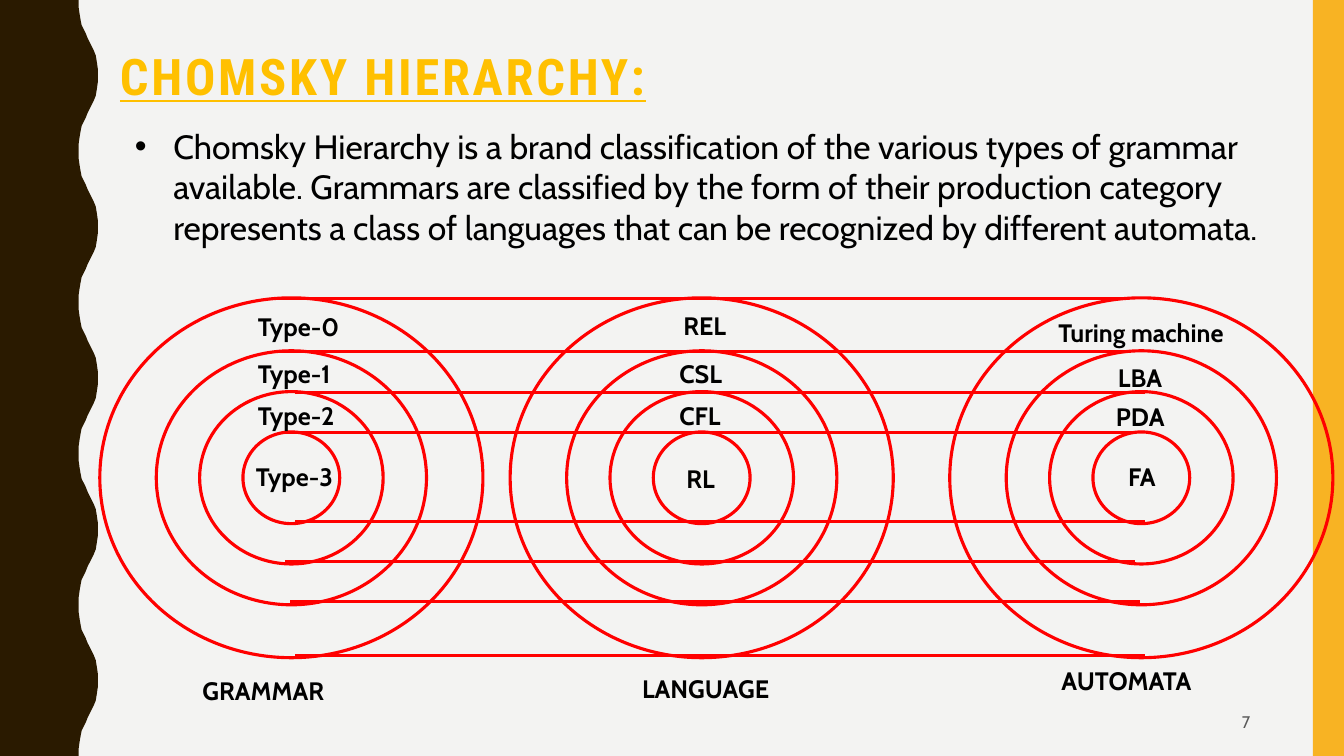
from lxml import etree
from pptx import Presentation
from pptx.dml.color import RGBColor
from pptx.enum.shapes import MSO_CONNECTOR as CONNECTOR, MSO_SHAPE as SHAPE
from pptx.enum.text import MSO_ANCHOR as ANCHOR, PP_ALIGN as ALIGN
from pptx.oxml.ns import qn
from pptx.util import Inches, Pt

COLORS = {
    "background": "F3F3F2",
    "wave": "2A1A00",
    "stripe": "F8B323",
    "title": "FFC000",
    "diagram": "FF0000",
    "text": "000000",
    "number": "595959",
}
WIDTH, HEIGHT = 13.33, 7.5

# Rising half of one wave, as (x, y); the falling half mirrors it.
WAVE_RISE = [
    (0.78, 0), (0.78, 0.07), (0.79, 0.14), (0.8, 0.2), (0.81, 0.25), (0.83, 0.29),
    (0.85, 0.33), (0.87, 0.38), (0.89, 0.42), (0.91, 0.46), (0.93, 0.5),
    (0.95, 0.55), (0.96, 0.61), (0.97, 0.68), (0.97, 0.75),
]
WAVE_PERIOD = 1.5
WAVE_COUNT = 5

CENTER_Y = 4.74
RING_CENTERS = [2.89, 6.96, 11.32]
RING_SIZES = [(3.8, 3.57), (2.68, 2.52), (1.82, 1.71), (0.96, 0.91)]

# Left end and height of each line that joins the rings.
LINK_LENGTH = 8.43
LINKS = [
    (2.71, 2.96), (2.74, 3.49), (2.93, 3.89), (2.82, 4.29),
    (2.93, 5.17), (2.83, 5.57), (2.88, 5.97), (2.93, 6.5),
]

# Text, left, top, width
LABELS = [
    ("Type-0", 2.46, 3.04, 1.27),
    ("Type-1", 2.46, 3.51, 1.27),
    ("Type-2", 2.46, 3.92, 1.27),
    ("Type-3", 2.44, 4.53, 1.27),
    ("REL", 6.68, 3.03, 1.27),
    ("CSL", 6.64, 3.51, 1.27),
    ("CFL", 6.64, 3.92, 1.27),
    ("RL", 6.71, 4.55, 1.27),
    ("Turing machine", 10.4, 3.1, 2.74),
    ("LBA", 10.99, 3.55, 1.27),
    ("PDA", 10.97, 3.93, 1.27),
    ("FA", 11.09, 4.53, 1.27),
    ("GRAMMAR", 1.91, 6.65, 1.6),
    ("LANGUAGE", 6.27, 6.63, 1.93),
    ("AUTOMATA", 10.43, 6.55, 1.93),
]

DEFINITION = (
    "Chomsky Hierarchy is a brand classification of the various types of grammar "
    "available. Grammars are classified by the form of their production category "
    "represents a class of languages that can be recognized by different automata."
)


def rgb(name):
    return RGBColor.from_string(COLORS[name])


def add_text(slide, text, left, top, width, height, *, size=18, font="Cabin",
             color="text", bold=False, underline=False, align=ALIGN.LEFT,
             anchor=ANCHOR.TOP, line_spacing=None, letter_spacing=None, bullet_indent=None):
    box = slide.shapes.add_textbox(Inches(left), Inches(top), Inches(width), Inches(height))
    frame = box.text_frame
    frame.word_wrap = True
    frame.vertical_anchor = anchor
    paragraph = frame.paragraphs[0]
    paragraph.alignment = align
    if line_spacing:
        paragraph.line_spacing = line_spacing
    run = paragraph.add_run()
    run.text = text
    run.font.name = font
    run.font.size = Pt(size)
    run.font.bold = bold
    run.font.underline = underline
    run.font.color.rgb = rgb(color)
    if letter_spacing:
        run.font._element.set("spc", str(letter_spacing * 100))
    if bullet_indent:
        properties = paragraph._p.get_or_add_pPr()
        properties.set("marL", str(Inches(bullet_indent)))
        properties.set("indent", str(-Inches(bullet_indent)))
        etree.SubElement(properties, qn("a:buFont")).set("typeface", "Arial")
        etree.SubElement(properties, qn("a:buChar")).set("char", "•")


def fill_plain(shape, color):
    shape.shadow.inherit = False
    shape.fill.solid()
    shape.fill.fore_color.rgb = rgb(color)
    shape.line.fill.background()


def add_wave(slide):
    """Draw the dark left edge with its wavy right side."""
    fall = [(x, WAVE_PERIOD - y) for x, y in reversed(WAVE_RISE[:-1])]
    edge = [
        (Inches(x), Inches(y + period * WAVE_PERIOD))
        for period in range(WAVE_COUNT)
        for x, y in WAVE_RISE + fall
    ]
    builder = slide.shapes.build_freeform(0, 0)
    builder.add_line_segments(edge + [(0, Inches(HEIGHT))], close=True)
    fill_plain(builder.convert_to_shape(), "wave")


def add_stripe(slide):
    stripe = slide.shapes.add_shape(
        SHAPE.RECTANGLE, Inches(13.02), 0, Inches(WIDTH - 13.02), Inches(HEIGHT))
    fill_plain(stripe, "stripe")


def style_line(line):
    line.color.rgb = rgb("diagram")
    line.width = Pt(2.25)


def add_ring(slide, center_x, width, height):
    ring = slide.shapes.add_shape(
        SHAPE.OVAL, Inches(center_x - width / 2), Inches(CENTER_Y - height / 2),
        Inches(width), Inches(height))
    ring.shadow.inherit = False
    ring.fill.background()
    style_line(ring.line)


def add_link(slide, left, y):
    link = slide.shapes.add_connector(
        CONNECTOR.STRAIGHT, Inches(left), Inches(y), Inches(left + LINK_LENGTH), Inches(y))
    style_line(link.line)
    etree.SubElement(link._element.spPr, qn("a:effectLst"))


def main():
    presentation = Presentation()
    presentation.slide_width = Inches(WIDTH)
    presentation.slide_height = Inches(HEIGHT)
    slide = presentation.slides.add_slide(presentation.slide_layouts[6])
    slide.background.fill.solid()
    slide.background.fill.fore_color.rgb = rgb("background")

    add_wave(slide)
    add_stripe(slide)
    add_text(slide, "CHOMSKY HIERARCHY:", 1.09, 0.47, 11.71, 0.98, size=36,
             font="Roboto Condensed", color="title", bold=True, underline=True,
             line_spacing=0.9, letter_spacing=2)
    add_text(slide, "7", 9.42, 6.97, 3.08, 0.38, size=12, color="number",
             align=ALIGN.RIGHT, anchor=ANCHOR.MIDDLE)
    add_text(slide, DEFINITION, 1.24, 1.2, 11.82, 1.31, size=24, bullet_indent=0.38)

    for center_x in RING_CENTERS:
        for width, height in RING_SIZES:
            add_ring(slide, center_x, width, height)
    for left, y in LINKS:
        add_link(slide, left, y)
    for text, left, top, width in LABELS:
        add_text(slide, text, left, top, width, 0.4, bold=True)

    presentation.save("out.pptx")


if __name__ == "__main__":
    main()
